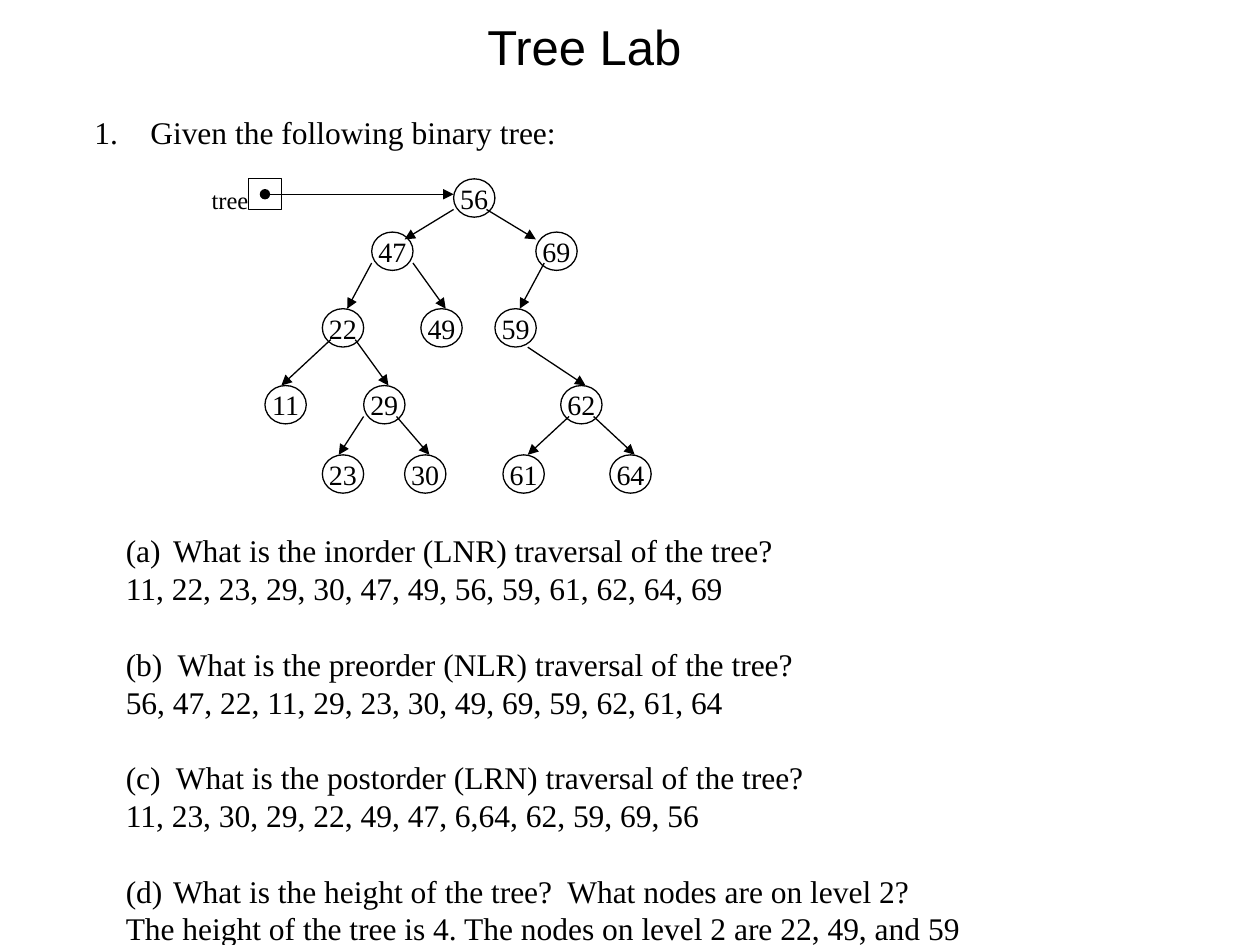
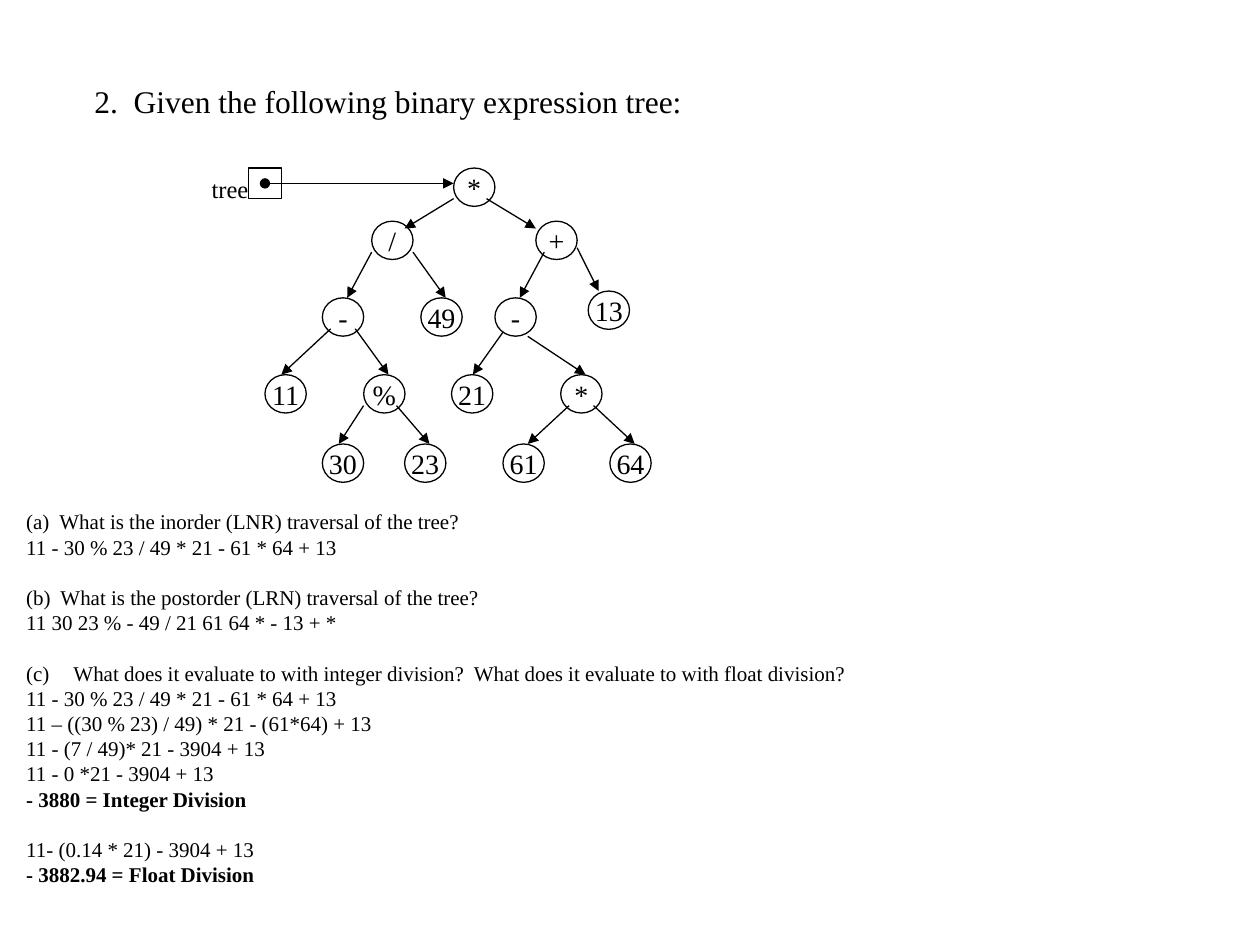
import lxml.etree
import pptx
import pptx.dml.color
import pptx.enum.shapes
import pptx.enum.text
import pptx.oxml.ns
import pptx.util

Pt = pptx.util.Pt
qn = pptx.oxml.ns.qn
KIND = pptx.enum.shapes.MSO_SHAPE
ALIGN = pptx.enum.text.PP_ALIGN

INK = {"text": "000000", "line": "000000", "back": "FFFFFF"}
SERIF, SANS = "Times New Roman", "Arial"
PITCH = 1.2            # line height as a share of the text size
THIN = 0.75
NODE = (23.6, 21.9)    # width and height of a tree node
LEVEL = (0, 30.4, 74.2, 118.1, 157.7)

# Each key is the way down from the root, L for left and R for right.
# x in the tree box, level, edge start in the parent, edge end in the node
SPOTS = {
    "": (145.4, 0, None, None),
    "L": (98.6, 1, (0, 17.5), (18.8, 4.2)),
    "R": (192.4, 1, (18.8, 17.5), (0, 4.2)),
    "LL": (70.4, 2, (0, 17.7), (14.2, 0)),
    "LR": (126.7, 2, (23.6, 17.7), (14.2, 0)),
    "RL": (169, 2, (4.8, 17.7), (14.2, 0)),
    "RR": (222.3, 2, (23.6, 15.2), (6, 0)),
    "LLL": (37.6, 3, (4.8, 17.7), (9.4, 0)),
    "LLR": (94, 3, (18.8, 17.7), (14.2, 0)),
    "RLL": (144.2, 3, (4.8, 19.4), (12.2, 0)),
    "RLR": (206.6, 3, (18.8, 22), (14.2, 0)),
    "LLRL": (70.4, 4, (0, 17.7), (9.4, 0)),
    "LLRR": (117.4, 4, (18.8, 17.7), (14.2, 0)),
    "RLRL": (173.6, 4, (4.8, 17.7), (14.2, 0)),
    "RLRR": (234.7, 4, (18.8, 17.7), (14.2, 0)),
}
RAISE = {"RR": 3.9}    # the node that sits above its level


def color(name):
    """Return a palette colour."""
    return pptx.dml.color.RGBColor.from_string(INK[name])


def say(frame, text, size, font=SERIF, bold=False, gap=0, hang=0, num=0,
        align=ALIGN.LEFT):
    """Add one paragraph; num numbers it (a), (b) and so on."""
    para = frame.paragraphs[0]
    if para.runs:
        para = frame.add_paragraph()
    para.alignment = align
    para.line_spacing = Pt(PITCH * size)
    para.space_before = Pt(gap)
    run = para.add_run()
    run.text = text
    run.font.size, run.font.name, run.font.bold = Pt(size), font, bold
    run.font.color.rgb = color("text")
    if hang:
        props = para._p.get_or_add_pPr()
        props.set("marL", str(Pt(hang)))
        props.set("indent", str(-Pt(hang)))
        if num:
            mark = lxml.etree.SubElement(props, qn("a:buAutoNum"))
            mark.set("type", "alphaLcParenBoth")
            mark.set("startAt", str(num))


def label(shapes, box, wrap=False):
    """Add an empty text box and return its frame."""
    frame = shapes.add_textbox(*map(Pt, box)).text_frame
    frame.word_wrap = wrap
    return frame


def form(shapes, kind, box):
    """Add an outlined shape without fill."""
    shape = shapes.add_shape(kind, *map(Pt, box))
    shape.shadow.inherit = False
    shape.fill.background()
    shape.line.color.rgb = color("line")
    shape.line.width = Pt(THIN)
    return shape


def arrow(shapes, start, end, dot=False):
    """Add an arrow, with a dot at its start if asked."""
    edge = shapes.add_connector(pptx.enum.shapes.MSO_CONNECTOR.STRAIGHT,
                                *map(Pt, start + end))
    edge.line.color.rgb = color("line")
    edge.line.width = Pt(THIN)
    props = edge.element.find(qn("p:spPr"))
    line = props.find(qn("a:ln"))
    if dot:
        lxml.etree.SubElement(line, qn("a:headEnd")).set("type", "oval")
    lxml.etree.SubElement(line, qn("a:tailEnd")).set("type", "triangle")
    lxml.etree.SubElement(props, qn("a:effectLst"))


def tree(slide, left, top, names):
    """Draw the binary tree and its root pointer from a top left corner."""
    shapes = slide.shapes.add_group_shape().shapes

    def place(key):
        x, level = SPOTS[key][:2]
        return left + x, top + LEVEL[level] - RAISE.get(key, 0)

    for key, name in names.items():
        node = form(shapes, KIND.OVAL, place(key) + NODE)
        frame = node.text_frame
        frame.word_wrap = False
        frame.vertical_anchor = pptx.enum.text.MSO_ANCHOR.MIDDLE
        say(frame, name, 16, align=ALIGN.CENTER)
    for key in names:
        if key:
            out, into = SPOTS[key][2:]
            (px, py), (cx, cy) = place(key[:-1]), place(key)
            arrow(shapes, (px + out[0], py + out[1]),
                  (cx + into[0], cy + into[1]))
    form(shapes, KIND.RECTANGLE, (left + 28.2, top, 18.8, 17.5))
    say(label(shapes, (left, top, 35.3, 24)), "tree", 14)
    mid = top + 8.8
    arrow(shapes, (left + 37.6, mid), (left + SPOTS[""][0], mid), dot=True)


def line(text, **style):
    """Pair a line of text with its style."""
    return text, style


def notes(slide, box, size, blocks):
    """Write blocks of lines, one line height apart."""
    frame = label(slide.shapes, box, wrap=True)
    for i, block in enumerate(blocks):
        for j, (text, style) in enumerate(block):
            gap = PITCH * size if i and not j else 0
            say(frame, text, size, gap=gap, **style)


def page(deck, head, box, hang):
    """Add a slide with its numbered heading."""
    slide = deck.slides.add_slide(deck.slide_layouts[6])
    slide.background.fill.solid()
    slide.background.fill.fore_color.rgb = color("back")
    notes(slide, box, 18, [[line(head, hang=hang)]])
    return slide


def search(deck):
    """Build the binary tree slide."""
    slide = page(deck, "1.\tGiven the following binary tree:",
                 (46.8, 61.2, 281, 28.8), 32)
    notes(slide, (64.8, 300.2, 501, 247), 18, [
        [line("What is the inorder (LNR) traversal of the tree?",
              hang=27, num=1),
         line("11, 22, 23, 29, 30, 47, 49, 56, 59, 61, 62, 64, 69")],
        [line("(b)\tWhat is the preorder (NLR) traversal of the tree?",
              hang=29.7),
         line("56, 47, 22, 11, 29, 23, 30, 49, 69, 59, 62, 61, 64")],
        [line("(c)\tWhat is the postorder (LRN) traversal of the tree?",
              hang=28.7),
         line("11, 23, 30, 29, 22, 49, 47, 6,64, 62, 59, 69, 56")],
        [line("What is the height of the tree?  "
              "What nodes are on level 2?", hang=27, num=4),
         line("The height of the tree is 4. "
              "The nodes on level 2 are 22, 49, and 59")],
    ])
    tree(slide, 113.8, 102.2, {
        "": "56", "L": "47", "R": "69", "LL": "22", "LR": "49", "RL": "59",
        "LLL": "11", "LLR": "29", "RLR": "62",
        "LLRL": "23", "LLRR": "30", "RLRL": "61", "RLRR": "64"})
    say(label(slide.shapes, (271.4, 5.8, 126.7, 41)), "Tree Lab", 28, SANS)


def express(deck):
    """Build the expression tree slide."""
    slide = page(deck, "2.\tGiven the following binary expression tree:",
                 (46.8, 43.2, 353.5, 28.8), 22.5)
    notes(slide, (7.9, 287.3, 490, 254), 12, [
        [line("(a)\tWhat is the inorder (LNR) traversal of the tree?",
              hang=19),
         line("11 - 30 % 23 / 49 * 21 - 61 * 64 + 13")],
        [line("(b)\tWhat is the postorder (LRN) traversal of the tree?",
              hang=19.6),
         line("11 30 23 % - 49 / 21 61 64 * - 13 + *")],
        [line("What does it evaluate to with integer division?  "
              "What does it evaluate to with float division?",
              hang=27, num=3),
         line("11 - 30 % 23 / 49 * 21 - 61 * 64 + 13"),
         line("11 – ((30 % 23) / 49) * 21 - (61*64) + 13"),
         line("11 - (7 / 49)* 21 - 3904 + 13"),
         line("11 - 0 *21 - 3904 + 13"),
         line("- 3880 = Integer Division", bold=True)],
        [line("11- (0.14 * 21) - 3904 + 13"),
         line("- 3882.94 = Float Division", bold=True)],
    ])
    tree(slide, 113.8, 96, {
        "": "*", "L": "/", "R": "+", "LL": "-", "LR": "49", "RL": "-",
        "LLL": "11", "LLR": "%", "RLR": "*",
        "LLRL": "30", "LLRR": "23", "RLRL": "61", "RLRR": "64",
        "RR": "13", "RLL": "21"})


deck = pptx.Presentation()
deck.slide_width, deck.slide_height = Pt(720), Pt(540)
search(deck)
express(deck)
deck.save("out.pptx")
